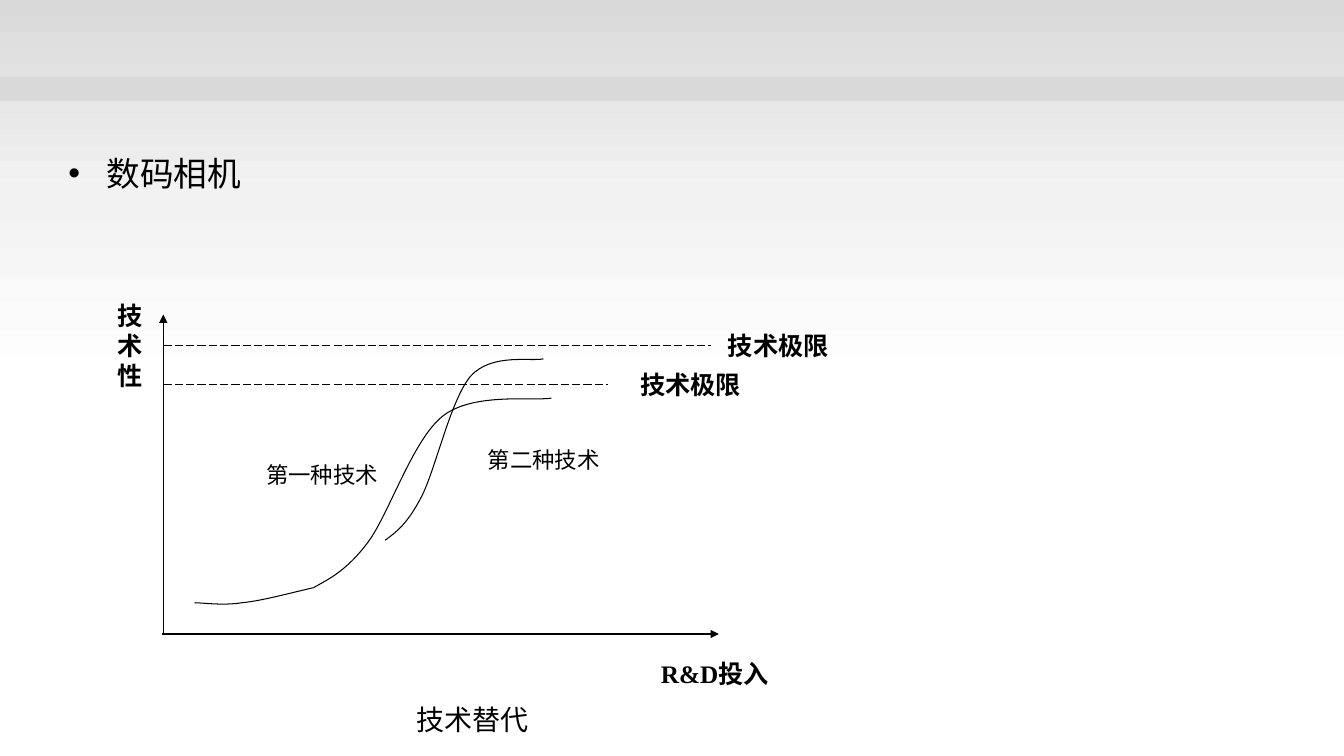
from copy import deepcopy

from lxml.etree import SubElement
from pptx import Presentation
from pptx.dml.color import RGBColor
from pptx.enum.dml import MSO_LINE
from pptx.enum.shapes import MSO_CONNECTOR, MSO_SHAPE
from pptx.enum.text import MSO_ANCHOR, PP_ALIGN
from pptx.oxml.ns import qn
from pptx.util import Inches, Pt

BLACK = RGBColor(0, 0, 0)
GRAY = RGBColor(0xD9, 0xD9, 0xD9)
PALE = RGBColor(0xF2, 0xF2, 0xF2)
WHITE = RGBColor(0xFF, 0xFF, 0xFF)
SANS = "Noto Sans CJK SC"
SERIF = "Times New Roman"
WIDTH = 13.33


def add_band(slide, top, height, *colors):
    """Full-width band, plain or fading downwards through three colours."""
    band = slide.shapes.add_shape(
        MSO_SHAPE.RECTANGLE, 0, Inches(top), Inches(WIDTH), Inches(height))
    band.shadow.inherit = False
    band.line.fill.background()
    if len(colors) == 1:
        band.fill.solid()
        band.fill.fore_color.rgb = colors[0]
        return
    band.fill.gradient()
    band.fill.gradient_angle = 270
    stops = band._element.spPr.find(".//" + qn("a:gsLst"))
    stops.append(deepcopy(stops[-1]))
    for i, (stop, color) in enumerate(zip(band.fill.gradient_stops, colors)):
        stop.position = i / (len(colors) - 1)
        stop.color.rgb = color


def add_text(slide, text, left, top, width, height, size=18, font=SERIF,
             bold=False, align=PP_ALIGN.CENTER, anchor=MSO_ANCHOR.MIDDLE,
             wrap=False, inset=None, bullet=False):
    box = slide.shapes.add_textbox(
        Inches(left), Inches(top), Inches(width), Inches(height))
    frame = box.text_frame
    frame.word_wrap = wrap
    frame.vertical_anchor = anchor
    if inset is not None:
        frame.margin_left = frame.margin_right = Inches(inset)
        frame.margin_top = frame.margin_bottom = Inches(inset)
    frame.text = text
    for para in frame.paragraphs:
        para.alignment = align
        if bullet:
            props = para._p.get_or_add_pPr()
            props.set("marL", str(Inches(0.38)))
            props.set("indent", str(Inches(-0.38)))
            SubElement(props, qn("a:buFont"), typeface="Arial")
            SubElement(props, qn("a:buChar"), char="•")
        for run in para.runs:
            run.font.size = Pt(size)
            run.font.bold = bold
            run.font.name = font
            run.font.color.rgb = BLACK
            SubElement(run._r.get_or_add_rPr(), qn("a:ea"), typeface=SANS)


def add_line(slide, x1, y1, x2, y2, arrow=False, dash=False):
    line = slide.shapes.add_connector(
        MSO_CONNECTOR.STRAIGHT, Inches(x1), Inches(y1), Inches(x2), Inches(y2))
    line.line.color.rgb = BLACK
    line.line.width = Pt(0.75)
    if dash:
        line.line.dash_style = MSO_LINE.LONG_DASH
    if arrow:
        SubElement(line.line._get_or_add_ln(), qn("a:tailEnd"), type="triangle")
    SubElement(line._element.spPr, qn("a:effectLst"))


def add_curve(slide, *knots):
    """Smooth open curve; knots hold a start and three points per span."""
    start, *points = [(Inches(x), Inches(y)) for x, y in knots]
    pen = slide.shapes.build_freeform(*start)
    pen.add_line_segments(points, close=False)
    curve = pen.convert_to_shape()
    curve.shadow.inherit = False
    curve.fill.background()
    curve.line.color.rgb = BLACK
    curve.line.width = Pt(0.75)
    # Join each three straight steps into one Bezier span
    route = curve._element.spPr.find(".//" + qn("a:path"))
    steps = route.findall(qn("a:lnTo"))
    for i in range(0, len(steps), 3):
        span = SubElement(route, qn("a:cubicBezTo"))
        for step in steps[i:i + 3]:
            span.append(step[0])
            route.remove(step)


def main():
    deck = Presentation()
    deck.slide_width = Inches(WIDTH)
    deck.slide_height = Inches(7.5)
    slide = deck.slides.add_slide(deck.slide_layouts[6])

    # Header background
    add_band(slide, 0, 3.83, GRAY, PALE, WHITE)
    add_band(slide, 0.76, 0.24, GRAY)

    # Topic
    add_text(slide, "数码相机", 0.58, 1.47, 12.07, 5.23, size=24, font=SANS,
             align=PP_ALIGN.LEFT, anchor=MSO_ANCHOR.TOP, wrap=True, bullet=True)

    # Axes
    add_line(slide, 1.62, 6.29, 1.62, 3.12, arrow=True)
    add_line(slide, 1.61, 6.29, 7.13, 6.29, arrow=True)
    add_text(slide, "技\n术\n性", 1.06, 2.96, 0.47, 0.93, bold=True)
    add_text(slide, "R&D投入", 6.34, 6.45, 1.5, 0.46, bold=True)

    # Technology limits
    for y, end, left in ((3.81, 6.03, 6.1), (3.43, 7.05, 6.97)):
        add_line(slide, 1.62, y, end, y, dash=True)
        add_text(slide, "技术极限", left, y - 0.23, 1.5, 0.46, bold=True)

    # First technology: slow start, then rise
    add_curve(slide, (3.11, 5.83), (2.85, 5.89), (2.6, 5.96), (2.4, 5.98),
              (2.21, 6.01), (2.01, 5.98), (1.93, 5.98))
    add_curve(slide, (3.11, 5.83), (3.27, 5.74), (3.44, 5.66), (3.65, 5.38),
              (3.86, 5.1), (4.09, 4.37), (4.39, 4.13),
              (4.69, 3.89), (5.29, 3.98), (5.47, 3.95))

    # Second technology
    add_curve(slide, (3.82, 5.36), (3.93, 5.28), (4.04, 5.2), (4.18, 4.93),
              (4.32, 4.66), (4.47, 3.96), (4.67, 3.73),
              (4.88, 3.5), (5.27, 3.59), (5.39, 3.56))

    # Curve names and caption
    for text, left, top in (("第一种技术", 2.64, 4.51), ("第二种技术", 4.84, 4.36)):
        add_text(slide, text, left, top, 1.2, 0.39, size=16, font=SANS,
                 align=PP_ALIGN.LEFT, inset=0)
    add_text(slide, "技术替代", 2.88, 6.91, 3.62, 0.46, size=20)

    deck.save("out.pptx")


if __name__ == "__main__":
    main()
